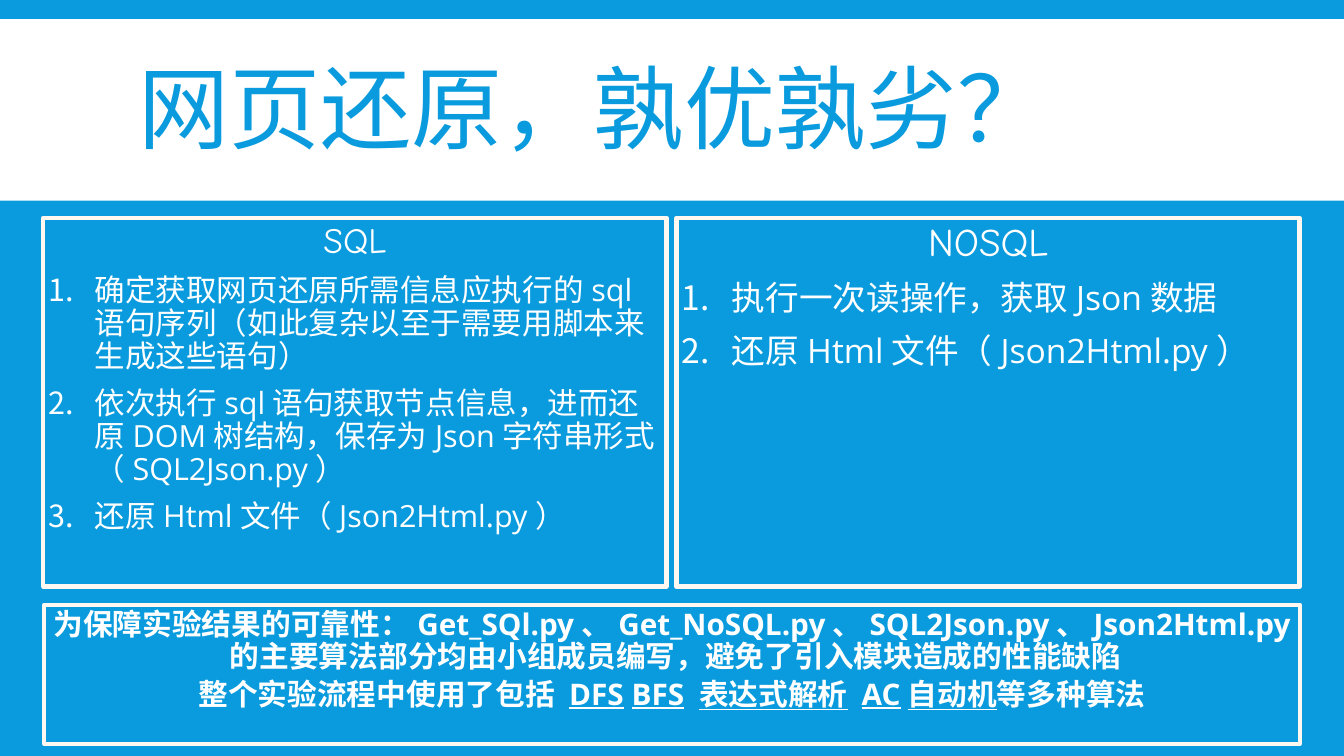
import pptx
import pptx.util
import pptx.dml.color
import pptx.enum.shapes
import pptx.enum.text
import pptx.oxml.ns
import lxml.etree

Inches, Pt = pptx.util.Inches, pptx.util.Pt
RGB = pptx.dml.color.RGBColor
ALIGN = pptx.enum.text.PP_ALIGN
ANCHOR = pptx.enum.text.MSO_ANCHOR
RECT = pptx.enum.shapes.MSO_SHAPE.RECTANGLE

BLUE = RGB(0x09, 0x9B, 0xDD)
WHITE = RGB(0xFF, 0xFF, 0xFF)
CREAM = RGB(0xFF, 0xF8, 0xF0)
BODY, HEAD = "Open Sans", "Comic Neue"

TITLE = "网页还原，孰优孰劣？"
COLUMNS = [
    {"head": "SQL", "head_size": 25.5, "size": 21.8, "before": 10,
     "head_indent": 0.18, "indent": 0.46,
     "steps": ["确定获取网页还原所需信息应执行的sql语句序列（如此复杂以至于需要用脚本来生成这些语句）",
               "依次执行sql语句获取节点信息，进而还原DOM树结构，保存为Json字符串形式（SQL2Json.py）",
               "还原Html文件（Json2Html.py）"]},
    {"head": "NOSQL", "head_size": 28, "size": 24, "before": 12,
     "head_indent": 0.2, "indent": 0.5,
     "steps": ["执行一次读操作，获取Json数据",
               "还原Html文件（Json2Html.py）"]},
]
NOTES = [
    [("为保障实验结果的可靠性：Get_SQl.py、Get_NoSQL.py、SQL2Json.py、Json2Html.py "
      "的主要算法部分均由小组成员编写，避免了引入模块造成的性能缺陷", False)],
    [("整个实验流程中使用了包括 ", False), ("DFS", True), (" ", False), ("BFS", True),
     (" ", False), ("表达式解析", True), (" ", False), ("AC自动机", True),
     ("等多种算法", False)],
]
LEFT, TOP, COL_W, COL_H, GAP = 0.43, 2.16, 6.18, 3.66, 0.1


def set_all(obj, values):
    for name, value in values.items():
        setattr(obj, name, value)


def add_box(box, fill=None, line=None, anchor=ANCHOR.TOP):
    sp = slide.shapes.add_shape(RECT, *map(Inches, box))
    sp.shadow.inherit = False
    if fill is None:
        sp.fill.background()
    else:
        sp.fill.solid()
        sp.fill.fore_color.rgb = fill
    if line is None:
        sp.line.fill.background()
    else:
        sp.line.color.rgb = line
        sp.line.width = Pt(3)
    tf = sp.text_frame
    margins = ("margin_left", "margin_top", "margin_right", "margin_bottom")
    set_all(tf, dict.fromkeys(margins, Inches(0.05)))
    set_all(tf, {"word_wrap": True, "vertical_anchor": anchor})
    return tf


def add_text(tf, runs, size, font=BODY, color=WHITE, align=ALIGN.LEFT,
             spacing=0.9, before=0, indent=0, bold=False, numbered=False):
    p = tf.paragraphs[0] if not tf.paragraphs[0].runs else tf.add_paragraph()
    set_all(p, {"alignment": align, "line_spacing": spacing, "space_before": Pt(before)})
    for text, underline in runs:
        r = p.add_run()
        r.text = text
        set_all(r.font, {"size": Pt(size), "name": font, "bold": bold,
                         "underline": underline})
        r.font.color.rgb = color
    pPr = p._p.get_or_add_pPr()
    pPr.set("marL", str(Inches(indent)))
    pPr.set("indent", str(-Inches(indent)))
    if numbered:
        qn = pptx.oxml.ns.qn
        clr = lxml.etree.SubElement(pPr, qn("a:buClr"))
        lxml.etree.SubElement(clr, qn("a:srgbClr"), val=str(WHITE))
        lxml.etree.SubElement(pPr, qn("a:buFont"), typeface="+mj-lt")
        lxml.etree.SubElement(pPr, qn("a:buAutoNum"), type="arabicPeriod")


prs = pptx.Presentation()
set_all(prs, {"slide_width": Inches(13.33), "slide_height": Inches(7.5)})
slide = prs.slides.add_slide(prs.slide_layouts[6])
slide.background.fill.solid()
slide.background.fill.fore_color.rgb = BLUE

add_box((0, 0.19, 13.33, 1.8), fill=WHITE)
title = add_box((1.32, 0.31, 10.7, 1.65), anchor=ANCHOR.MIDDLE)
add_text(title, [(TITLE, False)], 65, color=BLUE, spacing=0.85)

for i, col in enumerate(COLUMNS):
    tf = add_box((LEFT + i * (COL_W + GAP), TOP, COL_W, COL_H), line=CREAM)
    add_text(tf, [(col["head"], False)], col["head_size"], font=HEAD, align=ALIGN.CENTER,
             before=col["before"], indent=col["head_indent"])
    for step in col["steps"]:
        add_text(tf, [(step, False)], col["size"], before=col["before"],
                 indent=col["indent"], numbered=True)

notes = add_box((0.44, 6, 12.45, 1.38), line=CREAM)
for runs in NOTES:
    add_text(notes, runs, 21.2, align=ALIGN.CENTER, before=4, indent=0.08, bold=True)

prs.save("out.pptx")
